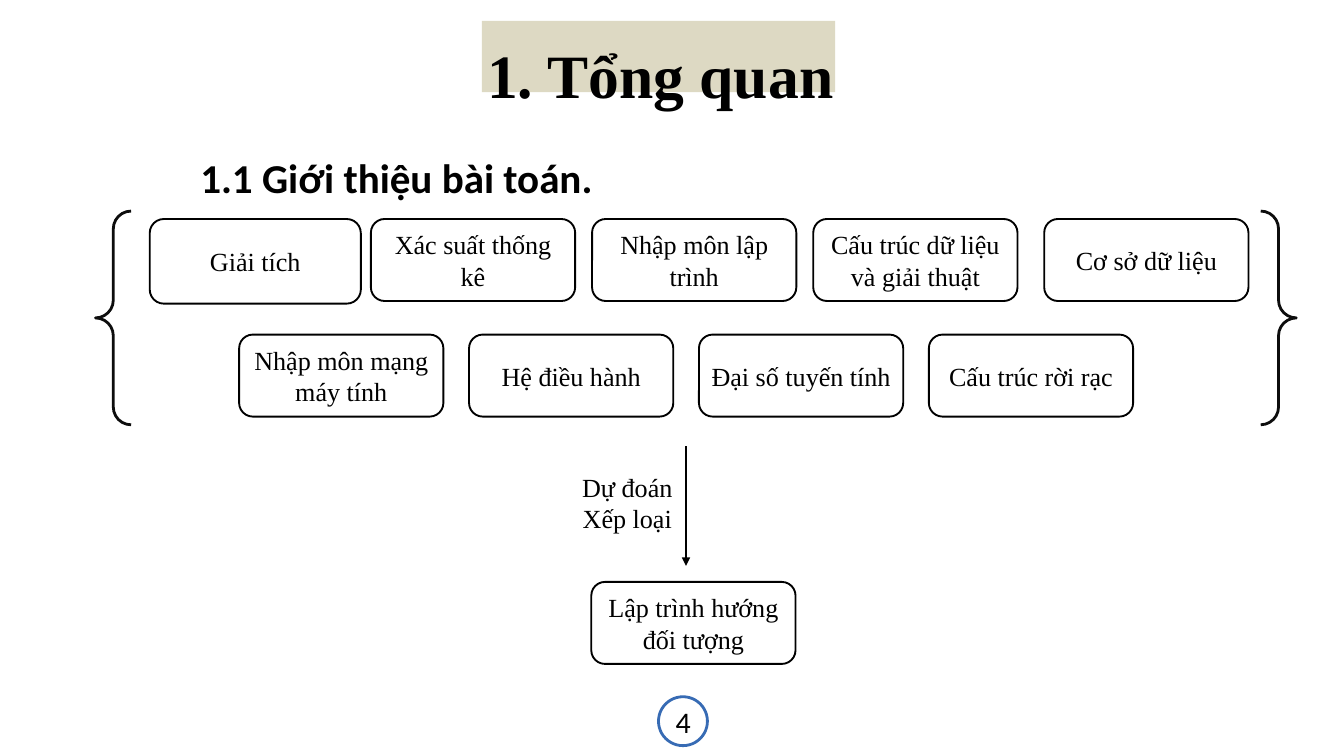
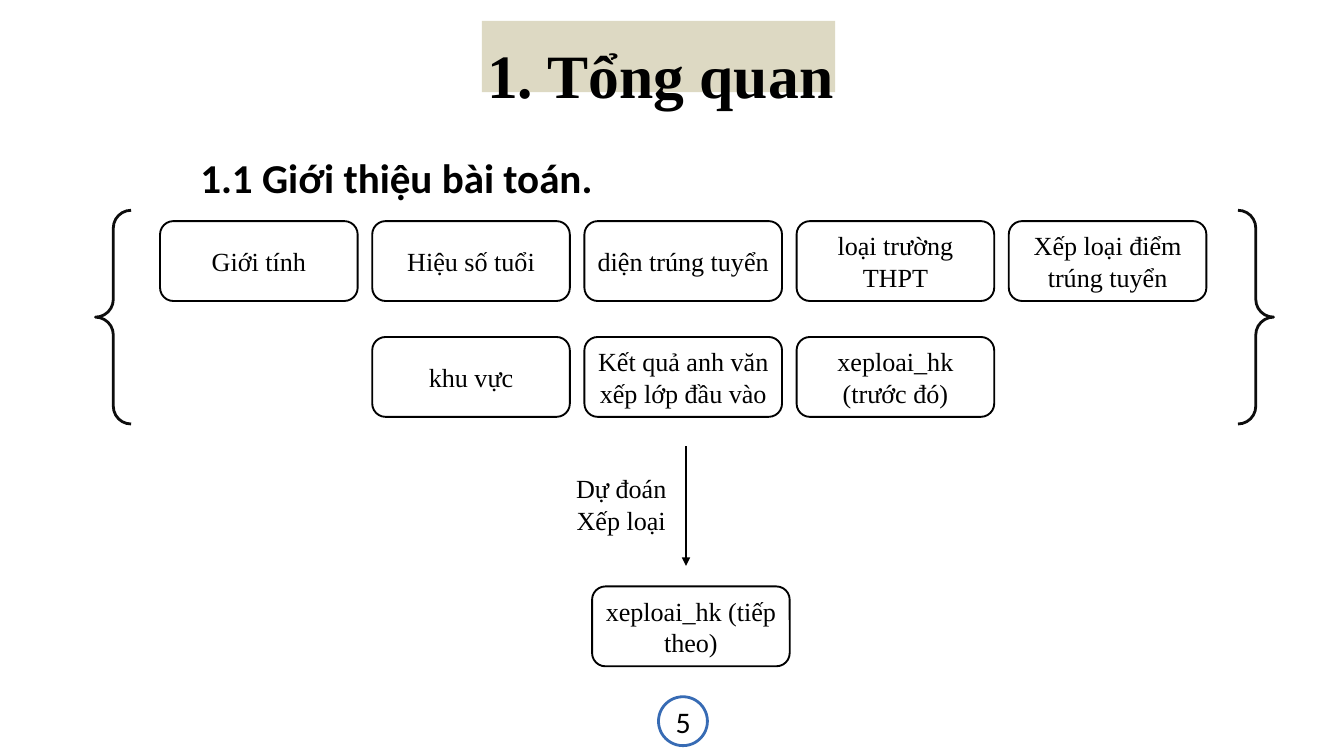
from lxml.etree import SubElement
from pptx import Presentation
from pptx.dml.color import RGBColor
from pptx.enum.shapes import MSO_CONNECTOR, MSO_SHAPE
from pptx.enum.text import MSO_ANCHOR, MSO_AUTO_SIZE, PP_ALIGN
from pptx.oxml.ns import qn
from pptx.util import Cm, Pt

BLACK = "000000"
WHITE = "FFFFFF"
BRACE_GREY = "0D0D0D"
TITLE_BAND = "DDD9C3"
NUMBER_BLUE = "376BB4"
SERIF = "Times New Roman"
SANS = "Calibri"

colour = RGBColor.from_string


def add_outline(slide, kind, place, fill=None, line=None, width=0):
    """Add a preset shape; place is left, top, width and height in cm."""
    shape = slide.shapes.add_shape(kind, *map(Cm, place))
    shape.shadow.inherit = False
    if fill:
        shape.fill.solid()
        shape.fill.fore_color.rgb = colour(fill)
    else:
        shape.fill.background()
    if line:
        shape.line.color.rgb = colour(line)
        shape.line.width = Pt(width)
    else:
        shape.line.fill.background()
    return shape


def write_text(shape, text, size, font, anchor=MSO_ANCHOR.MIDDLE,
               align=PP_ALIGN.CENTER, heading=False):
    """Fill a shape with text; a heading is bold, without margins, on tall lines."""
    frame = shape.text_frame
    frame.text = text
    frame.word_wrap = True
    frame.auto_size = MSO_AUTO_SIZE.NONE
    frame.vertical_anchor = anchor
    if heading:
        frame.margin_left = frame.margin_right = 0
        frame.margin_top = frame.margin_bottom = 0
    for paragraph in frame.paragraphs:
        paragraph.alignment = align
        if heading:
            paragraph.line_spacing = Pt(125.8)
        for run in paragraph.runs:
            run.font.size = Pt(size)
            run.font.name = font
            run.font.bold = heading
            run.font.color.rgb = colour(BLACK)


# Each row of boxes: left, top, step, box width, box height, labels
slides = [
    {
        "number": "4",
        "brace": (3.61, 7.98, 45.39, 8.08),
        "prediction": (17.73, 17.7),
        "rows": [
            (5.66, 8.28, 0, 7.98, 3.2, ["Giải tích"]),
            (14.02, 8.28, 8.36, 7.72, 3.1,
             ["Xác suất thống kê", "Nhập môn lập trình",
              "Cấu trúc dữ liệu và giải thuật"]),
            (39.47, 8.28, 0, 7.72, 3.1, ["Cơ sở dữ liệu"]),
            (9.04, 12.65, 8.69, 7.72, 3.1,
             ["Nhập môn mạng máy tính", "Hệ điều hành",
              "Đại số tuyến tính", "Cấu trúc rời rạc"]),
            (22.35, 22, 0, 7.72, 3.1, ["Lập trình hướng đối tượng"]),
        ],
    },
    {
        "number": "5",
        "brace": (3.61, 7.95, 44.53, 8.08),
        "prediction": (17.5, 17.75),
        "rows": [
            (6.05, 8.36, 8.02, 7.47, 3.02,
             ["Giới tính", "Hiệu số tuổi", "diện trúng tuyển",
              "loại trường THPT", "Xếp loại điểm trúng tuyển"]),
            (14.07, 12.74, 8.02, 7.47, 3.02,
             ["khu vực", "Kết quả anh văn xếp lớp đầu vào",
              "xeploai_hk (trước đó)"]),
            (22.38, 22.17, 0, 7.47, 3.02, ["xeploai_hk (tiếp theo)"]),
        ],
    },
]

presentation = Presentation()
presentation.slide_width = Cm(50.8)
presentation.slide_height = Cm(28.58)
title_only = presentation.slide_layouts[5]

for content in slides:
    slide = presentation.slides.add_slide(title_only)

    # Title on its band
    title = slide.shapes.title
    title.left, title.top, title.width, title.height = map(
        Cm, (18.34, -0.25, 13.23, 3.91))
    write_text(title, "1. Tổng quan", 66, SERIF, MSO_ANCHOR.TOP, heading=True)
    band = add_outline(slide, MSO_SHAPE.RECTANGLE, (18.21, 0.79, 13.36, 2.69),
                       TITLE_BAND)
    title._element.addprevious(band._element)

    subtitle = slide.shapes.add_textbox(Cm(7.57), Cm(3.18), Cm(25.3), Cm(3.78))
    write_text(subtitle, "1.1 Giới thiệu bài toán.", 44, SANS, MSO_ANCHOR.TOP,
               PP_ALIGN.LEFT, heading=True)

    # Page number
    add_outline(slide, MSO_SHAPE.OVAL, (24.89, 26.34, 1.85, 1.85),
                WHITE, NUMBER_BLUE, 3)
    number = slide.shapes.add_textbox(Cm(22.86), Cm(26.77), Cm(5.92), Cm(1.02))
    write_text(number, content["number"], 32, SANS)

    # Inputs and result
    for left, top, step, width, height, labels in content["rows"]:
        for index, label in enumerate(labels):
            box = add_outline(slide, MSO_SHAPE.ROUNDED_RECTANGLE,
                              (left + index * step, top, width, height),
                              WHITE, BLACK, 2)
            write_text(box, label, 28, SERIF)
    add_outline(slide, MSO_SHAPE.DOUBLE_BRACE, content["brace"],
                line=BRACE_GREY, width=3)

    # Prediction arrow
    arrow = slide.shapes.add_connector(MSO_CONNECTOR.STRAIGHT, Cm(25.93),
                                       Cm(16.87), Cm(25.93), Cm(21.39))
    arrow.line.color.rgb = colour(BLACK)
    arrow.line.width = Pt(3)
    SubElement(arrow.line._get_or_add_ln(), qn("a:tailEnd"), type="triangle")
    SubElement(arrow._element.spPr, qn("a:effectLst"))
    left, top = content["prediction"]
    prediction = slide.shapes.add_textbox(Cm(left), Cm(top), Cm(11.96), Cm(2.64))
    write_text(prediction, "Dự đoán\nXếp loại", 28, SERIF, MSO_ANCHOR.TOP)

presentation.save("out.pptx")
